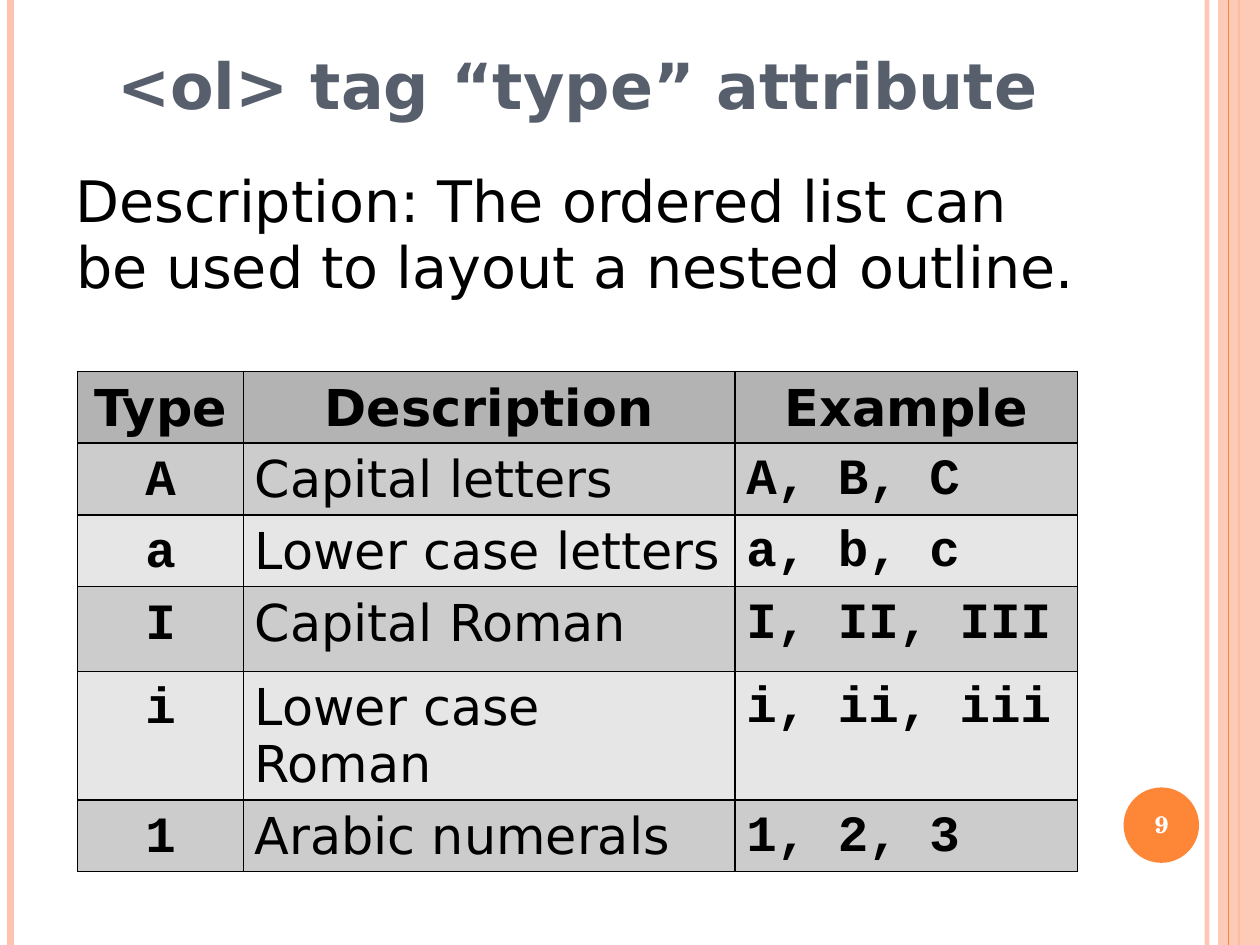
from typing import NamedTuple

from lxml.etree import SubElement
from pptx import Presentation
from pptx.dml.color import RGBColor
from pptx.enum.shapes import MSO_CONNECTOR as Connector, MSO_SHAPE as ShapeKind
from pptx.enum.text import MSO_ANCHOR as Anchor, MSO_AUTO_SIZE as AutoSize, PP_ALIGN as Align
from pptx.oxml.ns import qn
from pptx.util import Cm, Inches, Pt

WIDTH, HEIGHT = Cm(28), Cm(21)
SANS, MONO, SERIF = "DejaVu Sans", "Courier New", "TeX Gyre Schola"
PEACH, ORANGE, BLACK = "FEC3AE", "FE8637", "000000"


class Box(NamedTuple):
    """Place and size in percent of the slide's width and height."""
    left: float
    top: float
    width: float
    height: float


class Stripe(NamedTuple):
    """A vertical line over the full slide height."""
    left: float
    color: str
    weight: float
    opacity: int = 100


class Column(NamedTuple):
    """Width and body text format of one table column."""
    width: float
    font: str
    bold: bool
    align: Align
    spacing: float
    inset_top: float


LEFT_STRIPES = [Stripe(95.8, PEACH, 3, 93), Stripe(0.82, PEACH, 4.5), Stripe(98.33, ORANGE, 1.5)]
RIGHT_STRIPE = Stripe(97.5, ORANGE, 0.75)
BAND = Box(96.67, 0, 3.33, 100)
BADGE = Box(89.17, 83.33, 5.99, 7.98)
NUMBER = Box(88.9, 83.56, 6.62, 7.62)
TITLE = Box(4.99, 3.99, 81.65, 9.68)
BODY = Box(4.99, 17.78, 81.65, 76.68)
TABLE = Box(6.17, 39.3, 79.37, 48.02)
COLUMNS = [
    Column(13.15, MONO, True, Align.CENTER, 0.94, 0.09),
    Column(39.01, SANS, False, Align.LEFT, 0.96, 0.08),
    Column(27.21, MONO, True, Align.LEFT, 0.96, 0.08),
]
ROW_HEIGHTS = [4.96, 4.96, 4.96, 8.95, 4.96, 4.96]
ROWS = [
    ("Type", "Description", "Example"),
    ("A", "Capital letters", "A, B, C"),
    ("a", "Lower case letters", "a, b, c"),
    ("I", "Capital Roman", "I, II, III"),
    ("i", "Lower case Roman", "i, ii, iii"),
    ("1", "Arabic numerals", "1, 2, 3"),
]


def across(share: float) -> int:
    """Turn a percentage of the slide width into a length."""
    return round(WIDTH * share / 100)


def down(share: float) -> int:
    """Turn a percentage of the slide height into a length."""
    return round(HEIGHT * share / 100)


def frame_of(box: Box) -> tuple:
    """Return left, top, width and height as lengths."""
    return across(box.left), down(box.top), across(box.width), down(box.height)


def paint(color_format, color: str) -> None:
    """Set a colour from a hex string."""
    color_format.rgb = RGBColor.from_string(color)


def fill_with(fill, color: str) -> None:
    """Make a fill solid in one colour."""
    fill.solid()
    paint(fill.fore_color, color)


def set_opacity(element, percent: int) -> None:
    """Make the colours inside an element partly transparent."""
    if percent < 100:
        for color in element.iter(qn("a:srgbClr")):
            SubElement(color, qn("a:alpha")).set("val", str(percent * 1000))


def write(frame, text: str, *, font: str, size: float, color: str, bold: bool = False,
          align: Align = Align.LEFT, spacing: float = 1, hanging: float = 0) -> None:
    """Write one formatted paragraph into a text frame."""
    frame.word_wrap = True
    paragraph = frame.paragraphs[0]
    properties = paragraph._p.get_or_add_pPr()
    properties.set("marL", str(Inches(hanging)))
    properties.set("indent", str(Inches(-hanging)))
    SubElement(properties, qn("a:buNone"))
    paragraph.alignment = align
    paragraph.line_spacing = spacing
    paragraph.space_before = Pt(0)
    run = paragraph.add_run()
    run.text = text
    run.font.name, run.font.size, run.font.bold = font, Pt(size), bold
    paint(run.font.color, color)


def set_insets(holder, side: float, top: float, bottom: float) -> None:
    """Set the inner margins of a text frame or cell in inches."""
    holder.margin_left = holder.margin_right = Inches(side)
    holder.margin_top, holder.margin_bottom = Inches(top), Inches(bottom)


def prepare(shape, box: Box, anchor: Anchor, top: float):
    """Place a text shape and return its text frame."""
    shape.left, shape.top, shape.width, shape.height = frame_of(box)
    frame = shape.text_frame
    frame.auto_size = AutoSize.NONE
    frame.vertical_anchor = anchor
    set_insets(frame, 0.11, top, 0.06)
    return frame


def add_stripe(slide, stripe: Stripe) -> None:
    """Draw a vertical stripe."""
    left = across(stripe.left)
    line = slide.shapes.add_connector(Connector.STRAIGHT, left, 0, left, HEIGHT)
    line.line.width = Pt(stripe.weight)
    paint(line.line.color, stripe.color)
    properties = line._element.spPr
    set_opacity(properties, stripe.opacity)
    SubElement(properties, qn("a:effectLst"))


def add_panel(slide, kind: ShapeKind, box: Box, color: str, opacity: int = 100) -> None:
    """Draw a filled shape without outline."""
    shape = slide.shapes.add_shape(kind, *frame_of(box))
    shape.shadow.inherit = False
    shape.line.fill.background()
    fill_with(shape.fill, color)
    set_opacity(shape._element.spPr, opacity)


def add_borders(cell) -> None:
    """Give a cell thin black borders."""
    properties = cell._tc.get_or_add_tcPr()
    for side in ("a:lnL", "a:lnR", "a:lnT", "a:lnB"):
        border = SubElement(properties, qn(side), w=str(Pt(1)))
        fill = SubElement(border, qn("a:solidFill"))
        SubElement(fill, qn("a:srgbClr"), val=BLACK)


def add_type_table(slide) -> None:
    """Build the table of list types."""
    graphic = slide.shapes.add_table(len(ROWS), len(COLUMNS), *frame_of(TABLE))
    table = graphic.table
    table.first_row = table.horz_banding = False
    for number, column in enumerate(COLUMNS):
        table.columns[number].width = across(column.width)
    for number, (texts, height) in enumerate(zip(ROWS, ROW_HEIGHTS)):
        table.rows[number].height = down(height)
        shade = "B3B3B3" if number == 0 else ("E6E6E6", "CCCCCC")[number % 2]
        for index, (text, column) in enumerate(zip(texts, COLUMNS)):
            style = column if number else Column(column.width, SANS, True, Align.CENTER, 0.96, 0.08)
            cell = table.cell(number, index)
            set_insets(cell, 0.1, style.inset_top, 0.05)
            add_borders(cell)
            fill_with(cell.fill, shade)
            write(cell.text_frame, text, font=style.font, size=32, color=BLACK,
                  bold=style.bold, align=style.align, spacing=style.spacing)
    graphic.height = down(TABLE.height)


def main() -> None:
    """Build and save the slide."""
    presentation = Presentation()
    presentation.slide_width, presentation.slide_height = WIDTH, HEIGHT
    slide = presentation.slides.add_slide(presentation.slide_layouts[1])
    for stripe in LEFT_STRIPES:
        add_stripe(slide, stripe)
    add_panel(slide, ShapeKind.RECTANGLE, BAND, PEACH, 87)
    add_stripe(slide, RIGHT_STRIPE)
    add_panel(slide, ShapeKind.OVAL, BADGE, ORANGE)
    write(prepare(slide.shapes.title, TITLE, Anchor.BOTTOM, 0.04), "<ol> tag “type” attribute",
          font=SANS, size=40, color="575F6D", bold=True, align=Align.CENTER)
    write(prepare(slide.placeholders[1], BODY, Anchor.TOP, 0.01),
          "Description: The ordered list can be used to layout a nested outline.",
          font=SANS, size=36, color=BLACK, spacing=0.97, hanging=0.01)
    write(prepare(slide.shapes.add_textbox(*frame_of(NUMBER)), NUMBER, Anchor.MIDDLE, 0.06), "9",
          font=SERIF, size=15, color="FFFFFF", bold=True, align=Align.CENTER, spacing=0.93)
    add_type_table(slide)
    presentation.save("out.pptx")


if __name__ == "__main__":
    main()
